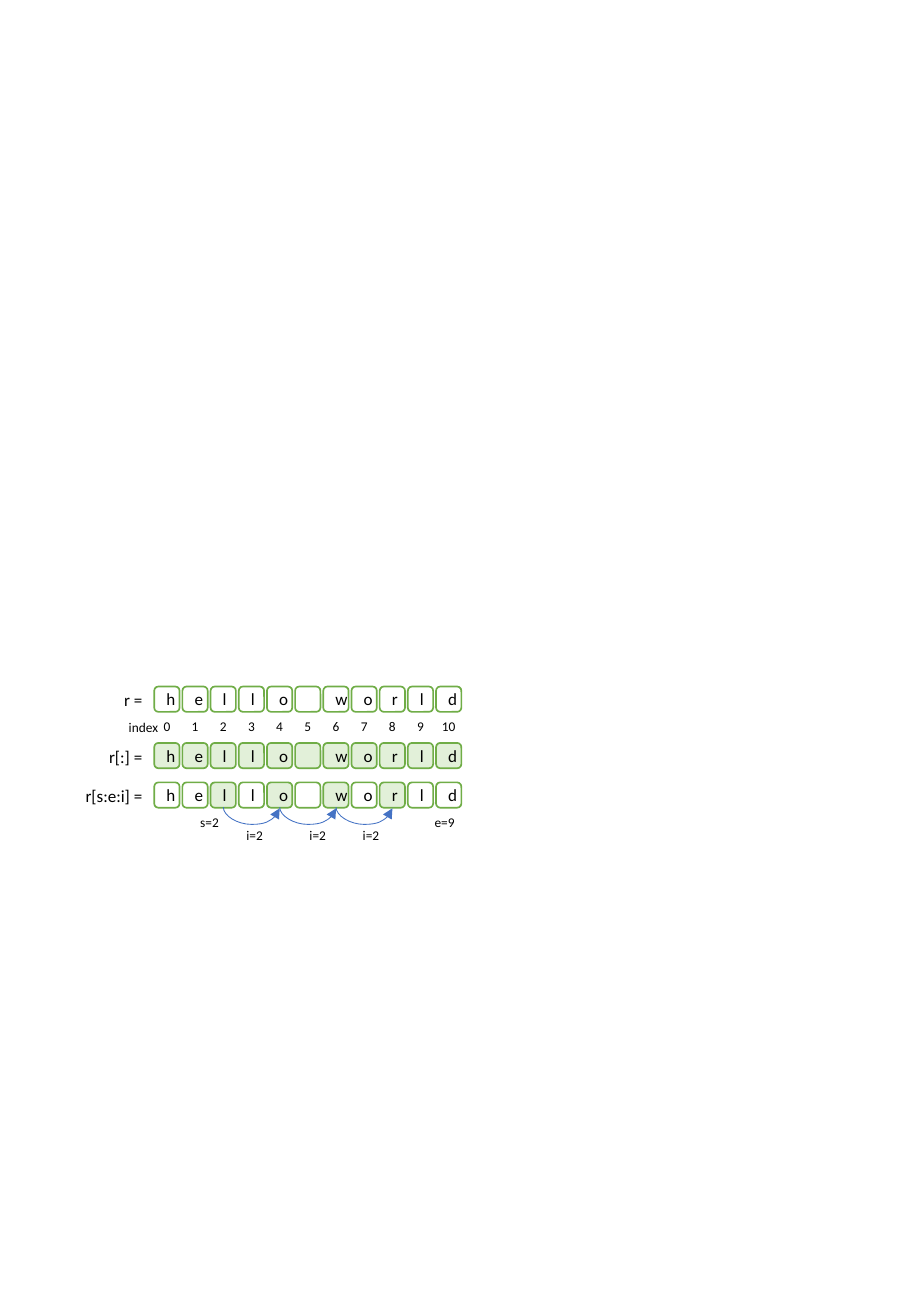
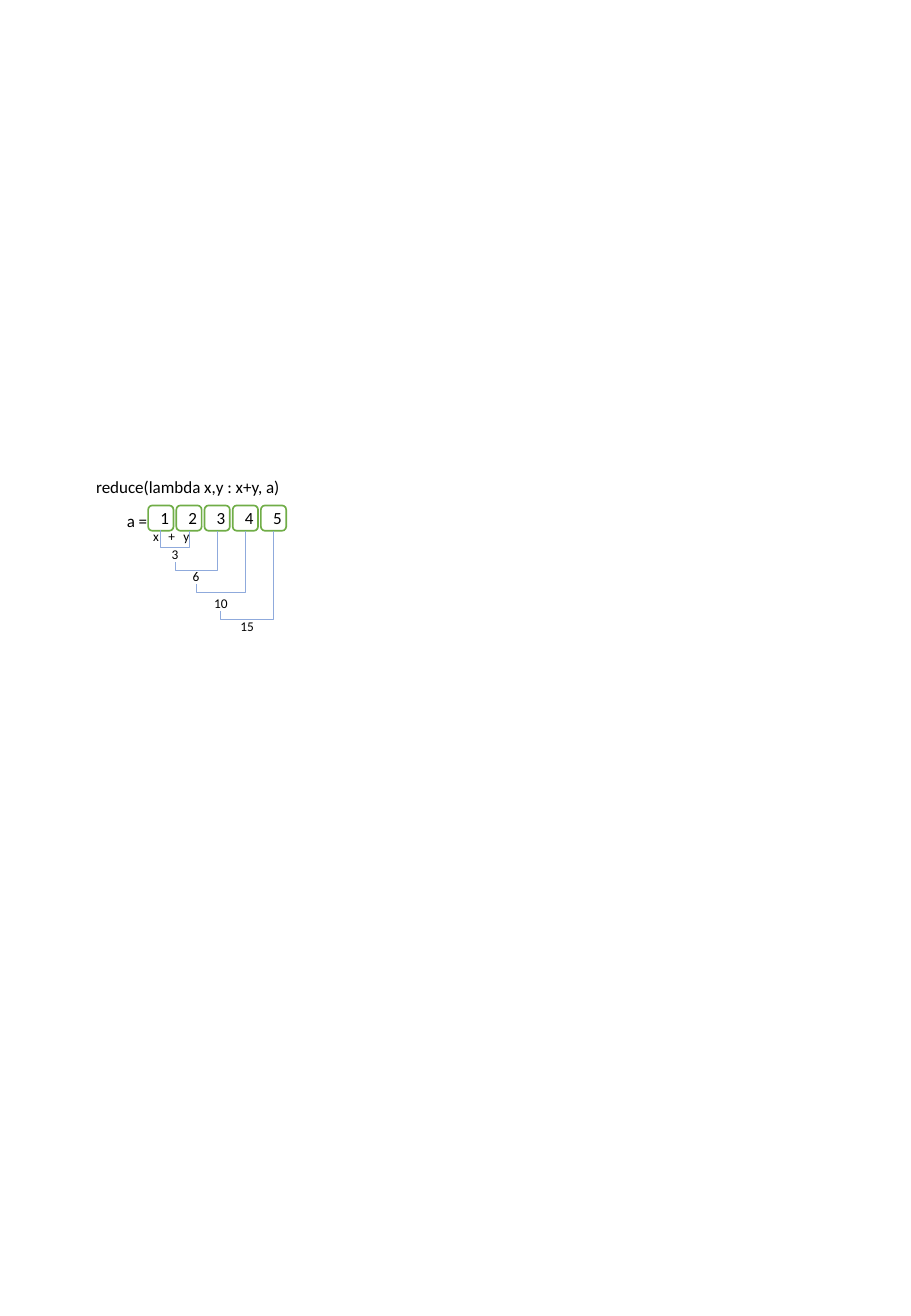
from pptx import Presentation
from pptx.dml.color import RGBColor
from pptx.enum.shapes import MSO_CONNECTOR, MSO_SHAPE
from pptx.enum.text import MSO_ANCHOR, MSO_AUTO_SIZE, PP_ALIGN
from pptx.oxml.ns import qn
from pptx.util import Inches, Pt
from lxml.etree import SubElement

UNIT = 2.32 / 10  # grid pitch in inches, both ways
SIDE = 0.9        # cell side, in grid units
HALF = SIDE / 2
WHITE, PALE, GREEN = "FFFFFF", "E2F0D9", "70AD47"
BLUE, SKY, BLACK = "4472C4", "8FAADC", "000000"
BIG, SMALL = 10.1, 7.9
TITLE, BLANK = 5, 6


def tint(code):
    return RGBColor.from_string(code)


class Board:
    """Draws on the current slide; places are grid columns and rows."""

    def __init__(self):
        self.deck = Presentation()
        self.deck.slide_width = Inches(7.5)
        self.deck.slide_height = Inches(10.83)

    def start(self, kind, left, top):
        """Add a slide whose grid begins at left, top (shares of its size)."""
        self.slide = self.deck.slides.add_slide(self.deck.slide_layouts[kind])
        self.left = left * self.deck.slide_width
        self.top = top * self.deck.slide_height

    def box(self, col, row, wide, high):
        return (int(self.left + Inches(col * UNIT)),
                int(self.top + Inches(row * UNIT)),
                Inches(wide * UNIT), Inches(high * UNIT))

    def letter(self, frame, text, size, align, anchor):
        """Put one formatted run into the frame."""
        frame.vertical_anchor = anchor
        para = frame.paragraphs[0]
        para.alignment = align
        if text.strip():
            run = para.add_run()
            run.text = text
            run.font.size = Pt(size)
            run.font.name = "Calibri"
            run.font.color.rgb = tint(BLACK)

    def block(self, place, text, size, fill=None, line=None, pad=None):
        shape = self.slide.shapes.add_shape(MSO_SHAPE.ROUNDED_RECTANGLE, *place)
        shape.shadow.inherit = False
        if fill:
            shape.fill.solid()
            shape.fill.fore_color.rgb = tint(fill)
        else:
            shape.fill.background()
        if line:
            shape.line.color.rgb = tint(line)
            shape.line.width = Pt(1)
        else:
            shape.line.fill.background()
        frame = shape.text_frame
        if pad:
            frame.margin_left = frame.margin_right = Inches(pad)
            frame.margin_top = frame.margin_bottom = Inches(pad)
        self.letter(frame, text, size, PP_ALIGN.CENTER, MSO_ANCHOR.MIDDLE)

    def cells(self, text, row, marked=()):
        for col, sign in enumerate(text):
            fill = PALE if col in marked else WHITE
            self.block(self.box(col, row, SIDE, SIDE), sign, BIG, fill, GREEN)

    def index(self, count, row):
        for col in range(count):
            place = self.box(col, row, SIDE, SIDE)
            self.block(place, str(col), SMALL, WHITE, pad=0.02)

    def tag(self, text, mid, row):
        wide = 0.3 + 0.26 * len(text)
        self.block(self.box(mid - wide / 2, row, wide, 0.6), text, SMALL, pad=0.02)

    def line_of(self, frame, text, size, align):
        """Set one line of text that does not wrap."""
        frame.word_wrap = False
        frame.auto_size = MSO_AUTO_SIZE.SHAPE_TO_FIT_TEXT
        self.letter(frame, text, size, align, MSO_ANCHOR.TOP)

    def title(self, text, col, row, wide):
        shape = self.slide.shapes.title
        shape.left, shape.top, shape.width, shape.height = self.box(col, row, wide, 1.16)
        self.line_of(shape.text_frame, text, BIG, PP_ALIGN.LEFT)

    def label(self, text, row, size=BIG, edge=0, wide=2.5):
        """Text that ends at the column edge."""
        shape = self.slide.shapes.add_textbox(*self.box(edge - wide, row, wide, size / 8.5))
        self.line_of(shape.text_frame, text, size, PP_ALIGN.RIGHT)

    def note(self, text, mid, row):
        shape = self.slide.shapes.add_textbox(*self.box(mid - 0.8, row, 1.6, 1))
        self.line_of(shape.text_frame, text, SMALL, PP_ALIGN.CENTER)

    def link(self, kind, start, end, deep, color, arrow=False):
        """Join two points by a U that hangs deep below the start."""
        (x1, y1), (x2, y2) = start, end
        rising = y1 > y2
        # The U is drawn on its side and turned, so the box has swapped sides.
        wide, high = max(y1 - y2, 0.04), x2 - x1
        left, top, w, h = self.box((x1 + x2 - wide) / 2, (y1 + y2 - high) / 2, wide, high)
        line = self.slide.shapes.add_connector(kind, left, top, left + w, top + h)
        line.line.color.rgb = tint(color)
        line.line.width = Pt(0.5)
        props = line.element.spPr
        frame = props.find(qn("a:xfrm"))
        frame.set("rot", str((90 if rising else 270) * 60000))
        frame.set("flipH", "1")
        if rising:
            frame.set("flipV", "1")
        bend = round((-deep if rising else deep) / wide * 100000)
        SubElement(props.find(qn("a:prstGeom")).find(qn("a:avLst")), qn("a:gd"),
                   name="adj1", fmla=f"val {bend}")
        if arrow:
            SubElement(props.find(qn("a:ln")), qn("a:tailEnd"), type="triangle")
        SubElement(props, qn("a:effectLst"))


def slices(board):
    board.start(BLANK, 1.27 / 7.5, 5.65 / 10.83)
    word = "hello world"
    picked = range(2, 9, 2)
    board.cells(word, 0)
    board.label("r =", -0.09)
    board.index(len(word), 0.95)
    board.label("index", 0.95, SMALL, edge=0.56, wide=2)
    for text, row, marked in (("r[:] =", 2, range(len(word))),
                              ("r[s:e:i] =", 3.4, picked)):
        board.cells(word, row, marked)
        board.label(text, row - 0.09, wide=3.1)
    foot = 3.4 + SIDE
    for col in picked[:-1]:
        board.link(MSO_CONNECTOR.CURVE, (col + HALF, foot), (col + 2 + HALF, foot),
                   0.6, BLUE, arrow=True)
    for mid in (3.56, 5.8, 7.69):
        board.note("i=2", mid, 4.78)
    board.note("s=2", 1.96, foot)
    board.note("e=9", 10.3, foot)


def fold(board):
    board.start(TITLE, 1.22 / 7.5, 4.16 / 10.83)
    board.title("reduce(lambda x,y : x+y, a)", -2.28, -1.25, 8.36)
    board.cells("12345", 0)
    board.label("a =", -0.04, edge=0.39, wide=1.8)
    for text, mid in (("x", 0.28), ("+", 0.84), ("y", 1.36)):
        board.tag(text, mid, 0.78)
    mid, foot, deep, total = HALF, SIDE, 0.6, 1
    for col, row in enumerate((1.42, 2.2, 3.15, 3.97), 1):
        board.link(MSO_CONNECTOR.ELBOW, (mid, foot), (col + HALF, SIDE), deep, SKY)
        mid, foot, deep = (mid + col + HALF) / 2, row + 0.6, 0.28
        total += col + 1
        board.tag(str(total), mid, row)


def main():
    board = Board()
    slices(board)
    fold(board)
    board.deck.save("out.pptx")


if __name__ == "__main__":
    main()
